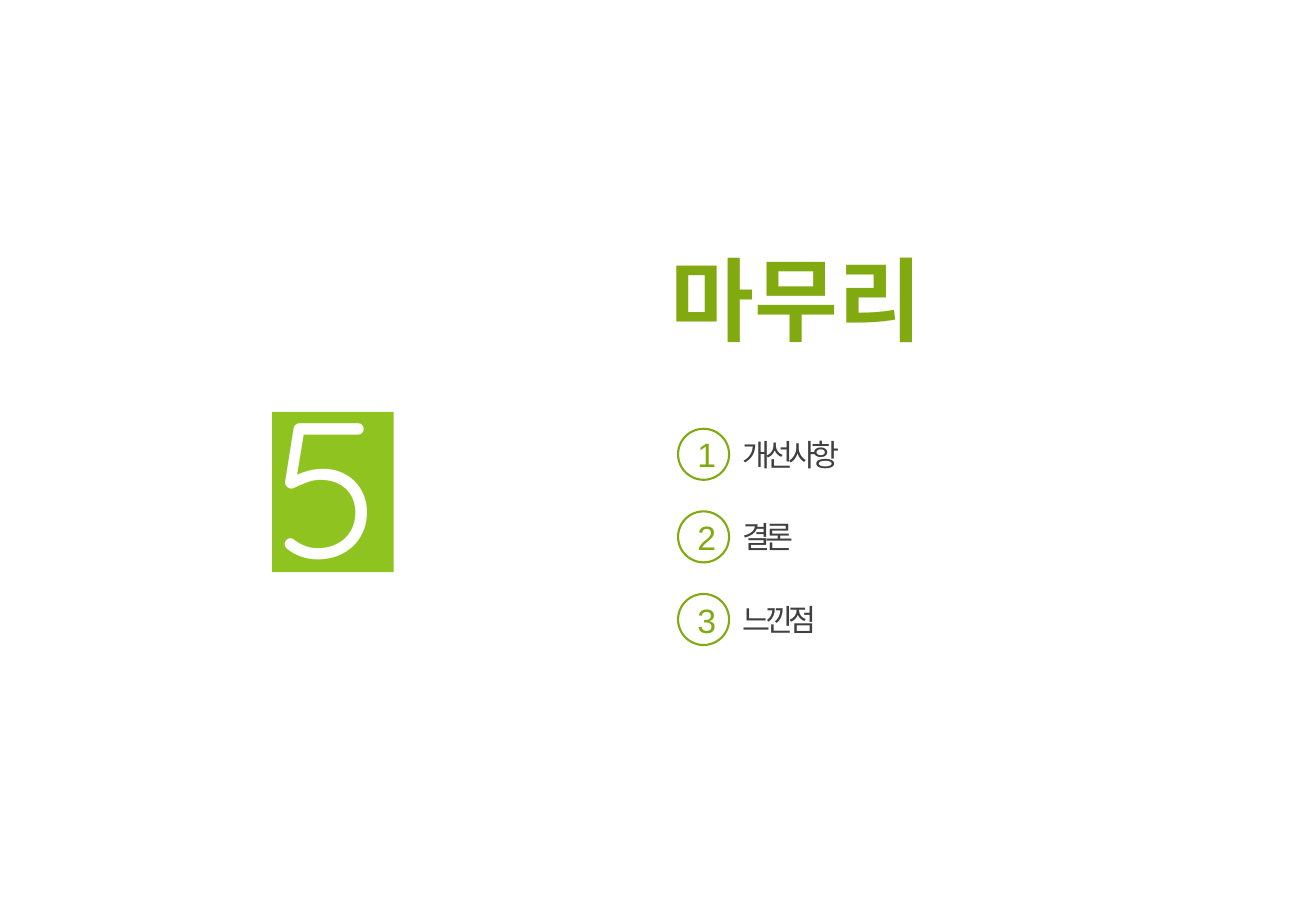
"""Build the closing section divider with its numbered topics."""
from lxml import etree
from pptx import Presentation
from pptx import util as u
from pptx.dml.color import RGBColor
from pptx.enum import shapes, text
from pptx.oxml.ns import qn

COLOURS = {"olive": "81AA11", "lime": "8FC31F", "white": "FFFFFF", "ink": "404040"}
TOPICS = ["개선사항", "결론", "느낀점"]
CIRCLE_LEFT, CIRCLE_TOP, CIRCLE_SIZE = 5.58, 3.53, 0.42
ROW_PITCH = 0.68
LIST_LEFT, LIST_TOP, LIST_WIDTH = 6.01, 3.21, 4.22


def inches(*lengths):
    return [u.Inches(length) for length in lengths]


def style(para, size, colour, name="Arial", bold=False):
    for span in para.runs:
        span.font.name = name
        span.font.size = u.Pt(size)
        span.font.bold = bold
        span.font.color.rgb = RGBColor.from_string(COLOURS[colour])
        east_asian = etree.SubElement(span.font._element, qn("a:ea"))
        east_asian.set("typeface", name)


deck = Presentation()
deck.slide_width, deck.slide_height = inches(10.83, 7.5)
page = deck.slides.add_slide(deck.slide_layouts[1])

title = page.shapes.title
title.left, title.top, title.width, title.height = inches(5.42, 1.95, 2.47, 1.01)
title.text_frame.text = "마무리"
title.text_frame.word_wrap = False
title.text_frame.auto_size = text.MSO_AUTO_SIZE.SHAPE_TO_FIT_TEXT
title.text_frame.vertical_anchor = text.MSO_ANCHOR.TOP
title.text_frame.paragraphs[0].alignment = text.PP_ALIGN.LEFT
style(title.text_frame.paragraphs[0], 54, "olive", bold=True)

panel = page.shapes.add_shape(shapes.MSO_SHAPE.RECTANGLE, *inches(2.24, 3.39, 1, 1.32))
panel.shadow.inherit = False
panel.fill.solid()
panel.fill.fore_color.rgb = RGBColor.from_string(COLOURS["lime"])
panel.line.fill.background()

numeral = page.shapes.add_textbox(*inches(2.16, 2.96, 1.16, 2.04))
numeral.text_frame.text = "5"
numeral.text_frame.word_wrap = False
numeral.text_frame.auto_size = text.MSO_AUTO_SIZE.SHAPE_TO_FIT_TEXT
style(numeral.text_frame.paragraphs[0], 115, "white", "Quicksand")

topics = page.placeholders[1]
topics.left, topics.top, topics.width, topics.height = inches(
    LIST_LEFT, LIST_TOP, LIST_WIDTH, len(TOPICS) * ROW_PITCH)
frame = topics.text_frame
frame.text = "\n".join(TOPICS)
frame.word_wrap = True
frame.auto_size = text.MSO_AUTO_SIZE.NONE
frame.vertical_anchor = text.MSO_ANCHOR.TOP
frame.margin_top = frame.margin_bottom = 0

for row, para in enumerate(frame.paragraphs):
    para.line_spacing = u.Inches(ROW_PITCH)
    para.space_before = para.space_after = u.Pt(0)
    properties = para._p.get_or_add_pPr()
    properties.set("marL", "0")
    properties.set("indent", "0")
    etree.SubElement(properties, qn("a:buNone"))
    style(para, 18, "ink")
    for span in para.runs:
        span.font._element.set("spc", "-300")

    circle = page.shapes.add_shape(shapes.MSO_SHAPE.OVAL, *inches(
        CIRCLE_LEFT, CIRCLE_TOP + row * ROW_PITCH, CIRCLE_SIZE, CIRCLE_SIZE))
    circle.shadow.inherit = False
    circle.fill.background()
    circle.line.color.rgb = RGBColor.from_string(COLOURS["olive"])
    circle.line.width = u.Pt(1.25)
    circle.text_frame.text = str(row + 1)
    circle.text_frame.vertical_anchor = text.MSO_ANCHOR.MIDDLE
    circle.text_frame.paragraphs[0].alignment = text.PP_ALIGN.CENTER
    style(circle.text_frame.paragraphs[0], 20, "olive")

deck.save("out.pptx")
